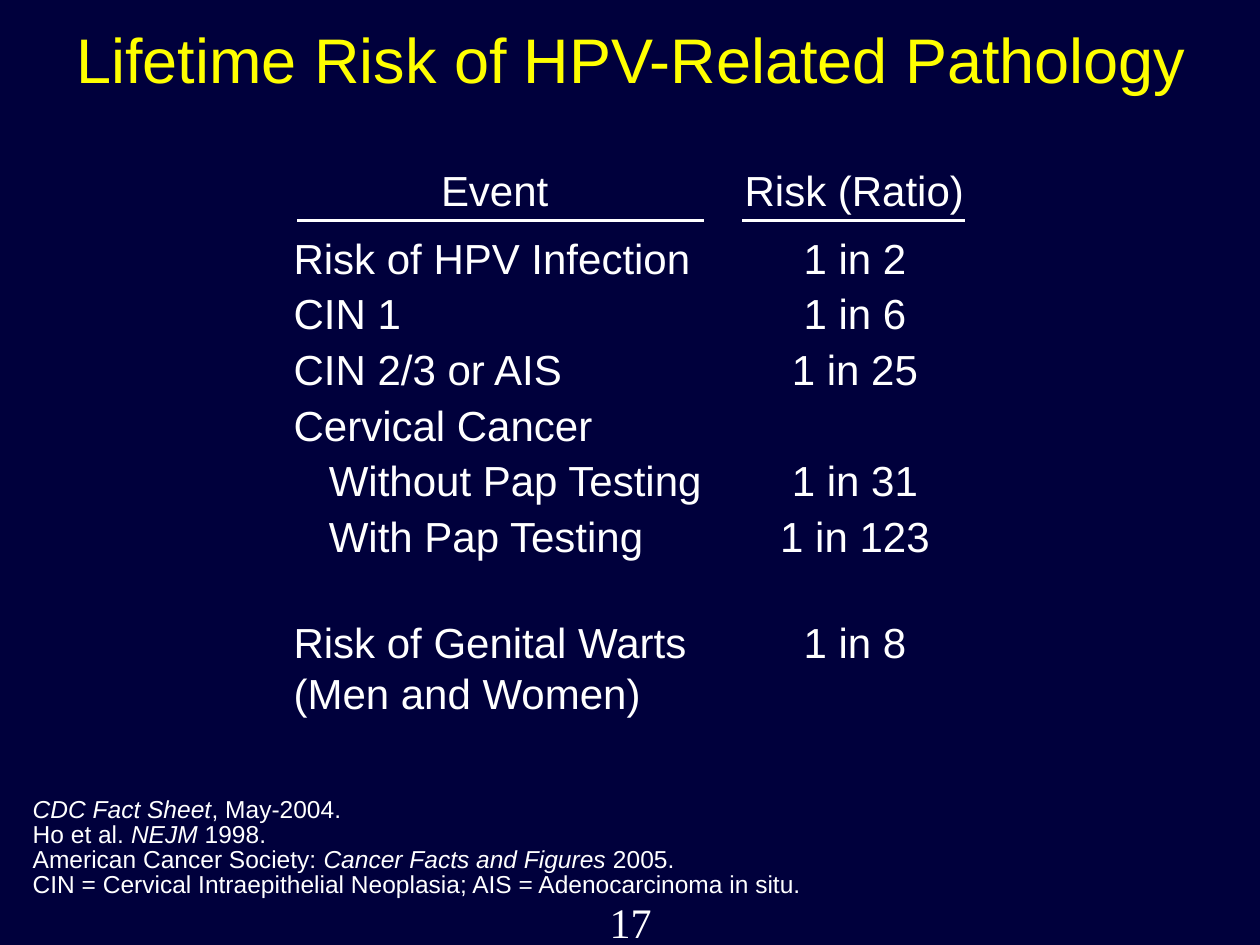
from dataclasses import dataclass

from lxml import etree
from pptx import Presentation
from pptx import util as u
from pptx.dml.color import RGBColor
from pptx.enum import shapes, text
from pptx.oxml.ns import qn


@dataclass(frozen=True)
class Theme:
    background: RGBColor = RGBColor(0x00, 0x00, 0x3C)
    ink: RGBColor = RGBColor(0xFF, 0xFF, 0xFF)
    accent: RGBColor = RGBColor(0xFF, 0xFF, 0x00)
    font: str = "Arial"
    number_font: str = "Times New Roman"
    title: float = 36
    body: float = 24
    note: float = 14
    body_leading: float = 29
    title_leading: float = 37.1
    note_leading: float = 14.3
    row_gap: float = 2.8
    rule: float = 1.25


THEME = Theme()


def write(paragraph, content, *, size=THEME.body, font=THEME.font, color=THEME.ink,
          leading=THEME.body_leading, align=text.PP_ALIGN.LEFT, before=0, indent=0):
    """Fill a paragraph; line feeds break lines and *asterisks* mark italics."""
    paragraph.alignment = align
    paragraph.line_spacing = u.Pt(leading)
    paragraph.space_before = u.Pt(before)
    if indent:
        paragraph._p.get_or_add_pPr().set("marL", str(u.Inches(indent)))
    for row, line in enumerate(content.split("\n")):
        if row:
            paragraph.add_line_break()
        for position, part in enumerate(line.split("*")):
            if part:
                run = paragraph.add_run()
                run.text = part
                run.font.name = font
                run.font.size = u.Pt(size)
                run.font.color.rgb = color
                run.font.italic = position % 2 == 1


class SlideBuilder:
    def __init__(self, slide, theme):
        self.slide, self.theme = slide, theme
        fill = slide.background.fill
        fill.solid()
        fill.fore_color.rgb = theme.background

    def text(self, left, top, width, height, *paragraphs, wrap=True, **style):
        """Add a text box; each paragraph is (content, own format)."""
        box = self.slide.shapes.add_textbox(*map(u.Inches, (left, top, width, height)))
        frame = box.text_frame
        frame.word_wrap = wrap
        if not wrap:
            frame.auto_size = text.MSO_AUTO_SIZE.SHAPE_TO_FIT_TEXT
        frame.vertical_anchor = text.MSO_ANCHOR.TOP
        frame.margin_left = frame.margin_right = 0
        frame.margin_top = frame.margin_bottom = 0
        for index, (content, own) in enumerate(paragraphs):
            paragraph = frame.add_paragraph() if index else frame.paragraphs[0]
            write(paragraph, content, **{**style, **own})

    def rule(self, start, end, y):
        line = self.slide.shapes.add_connector(
            shapes.MSO_CONNECTOR.STRAIGHT, *map(u.Inches, (start, y, end, y)))
        line.line.color.rgb = self.theme.ink
        line.line.width = u.Pt(self.theme.rule)
        etree.SubElement(line._element.spPr, qn("a:effectLst"))


# Event, risk, whether an empty row comes first, indent
RISKS = [
    ("Risk of HPV Infection", "1 in 2", False, 0),
    ("CIN 1", "1 in 6", False, 0),
    ("CIN 2/3 or AIS", "1 in 25", False, 0),
    ("Cervical Cancer", "", False, 0),
    ("Without Pap Testing", "1 in 31", False, 0.28),
    ("With Pap Testing", "1 in 123", False, 0.28),
    ("Risk of Genital Warts\n(Men and Women)", "1 in 8", True, 0),
]

SOURCES = """*CDC Fact Sheet*, May-2004.
Ho et al. *NEJM* 1998.
American Cancer Society: *Cancer Facts and Figures* 2005.
CIN = Cervical Intraepithelial Neoplasia; AIS = Adenocarcinoma in situ."""


def risk_columns():
    """Turn the rows into two paragraph lists that stay level with each other."""
    gap, leading = THEME.row_gap, THEME.body_leading
    events, ratios = [], []
    skipped = 0
    for index, (event, ratio, empty_first, indent) in enumerate(RISKS):
        before = (gap if index else 0) + (leading if empty_first else 0)
        events.append((event, {"before": before, "indent": indent}))
        if ratio:
            ratios.append((ratio, {"before": before + skipped}))
            skipped = 0
        else:
            skipped += before + leading
    return events, ratios


def main():
    deck = Presentation()
    deck.slide_width, deck.slide_height = u.Inches(10), u.Inches(7.5)
    page = SlideBuilder(deck.slides.add_slide(deck.slide_layouts[6]), THEME)
    center = text.PP_ALIGN.CENTER

    # Page number and title
    page.text(4.41, 7.11, 1.19, 0.4, ("17", {}), font=THEME.number_font, align=center)
    page.text(0.26, 0.25, 9.5, 0.78, ("Lifetime Risk of HPV-Related Pathology", {}),
              size=THEME.title, color=THEME.accent, leading=THEME.title_leading,
              align=center)

    # Column heads and their rules
    page.text(3.5, 1.3, 0.95, 0.4, ("Event", {}), wrap=False)
    page.text(5.91, 1.3, 1.76, 0.4, ("Risk (Ratio)", {}), wrap=False)
    page.rule(2.36, 5.59, 1.75)
    page.rule(5.89, 7.66, 1.75)

    # Risk columns
    events, ratios = risk_columns()
    page.text(2.33, 1.84, 3.28, 3.85, *events, wrap=False)
    page.text(6.19, 1.84, 1.19, 3.45, *ratios, wrap=False, align=center)

    # Sources and abbreviations
    page.text(0.26, 6.34, 7.94, 0.79, (SOURCES, {}),
              size=THEME.note, leading=THEME.note_leading)

    deck.save("out.pptx")


if __name__ == "__main__":
    main()
